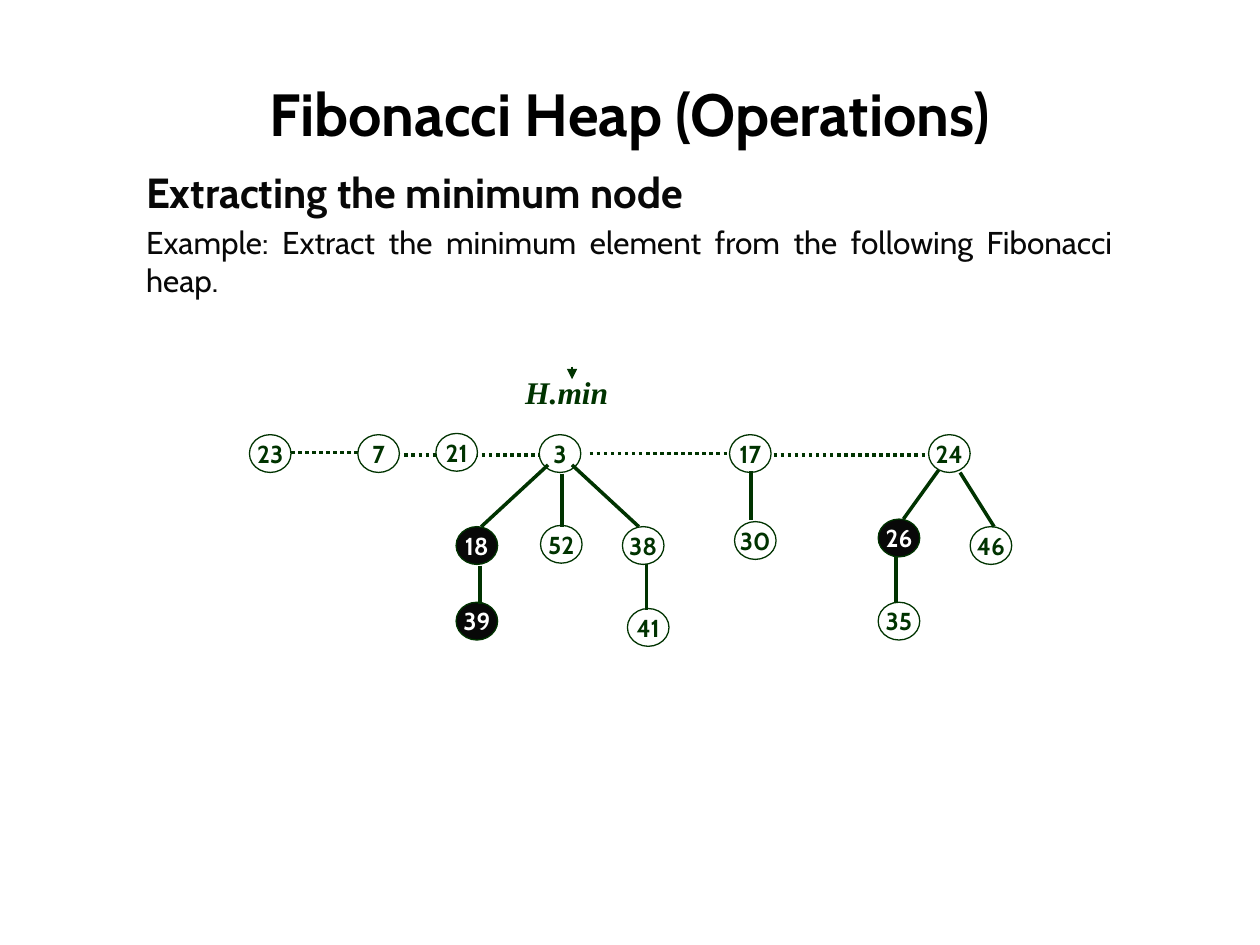
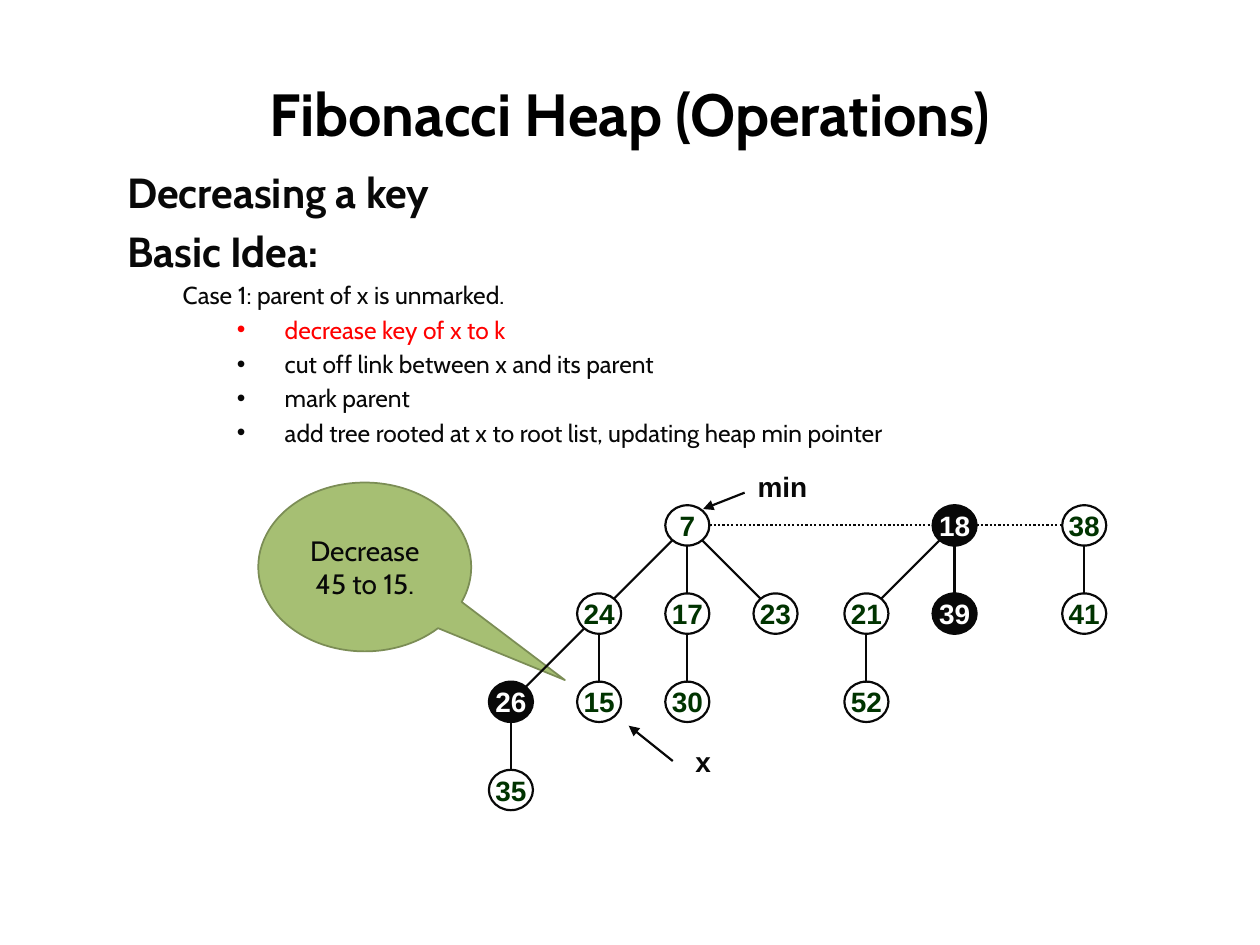
import math

import pptx
import pptx.dml.color
import pptx.enum.dml
import pptx.enum.shapes
import pptx.enum.text
import pptx.oxml
import pptx.oxml.ns
import pptx.util

SHAPE = pptx.enum.shapes.MSO_SHAPE
ALIGN = pptx.enum.text.PP_ALIGN
ANCHOR = pptx.enum.text.MSO_ANCHOR

COLORS = {
    "title": "000000",
    "ink": "080808",
    "green": "003300",
    "paper": "FFFFFF",
    "highlight": "FF0000",
    "callout": "A6BF73",
    "callout_edge": "7B8D55",
}

# The slide is a grid of 100 columns and 75 rows
SLIDE_WIDTH = pptx.util.Inches(10)
SLIDE_HEIGHT = pptx.util.Inches(7.5)
COLUMN = SLIDE_WIDTH / 100
ROW = SLIDE_HEIGHT / 75

HEADING = "Fibonacci Heap (Operations)"
BODY_FONT = "Cabin"

# Heap before extraction: key -> centre (column, row)
EXTRACT_KEYS = {
    "23": (21.45, 36), "7": (30.05, 36), "21": (36.25, 35.9),
    "3": (44.45, 36), "17": (59.55, 36), "24": (75.35, 36),
    "18": (37.85, 43.3), "52": (44.55, 43.2), "38": (51.05, 43.3),
    "30": (59.95, 42.9), "26": (71.35, 42.7), "46": (78.65, 43.3),
    "39": (37.85, 49.3), "41": (51.45, 49.8), "35": (71.35, 49.3),
}
EXTRACT_MARKED = {"18", "39", "26"}
EXTRACT_NODE = (3.3, 3)
EXTRACT_ROOT_LINKS = [
    ((23.1, 35.9), (28.4, 35.9)), ((32.1, 36.1), (42.8, 36.1)),
    ((46.8, 36), (57.9, 36)), ((61.4, 36.1), (73.7, 36.1)),
]
EXTRACT_CHILD_LINKS = [
    ((43.5, 36.9), (38.2, 41.8)), ((44.6, 37.6), (44.6, 41.8)),
    ((45.4, 36.9), (50.7, 41.8)), ((38.1, 44.9), (38.1, 47.9)),
    ((51.3, 44.8), (51.3, 48.4)), ((59.6, 37.4), (59.6, 41.3)),
    ((74.5, 37.3), (71.7, 41.2)), ((76.2, 37.5), (78.9, 41.8)),
    ((71.1, 44.2), (71.1, 47.8)),
]

# Heap after the decrease: key -> (place across, depth in tree)
DECREASE_KEYS = {
    "7": (2, 0), "18": (5.03, 0), "38": (6.5, 0),
    "24": (1, 1), "17": (2, 1), "23": (3, 1),
    "21": (4.03, 1), "39": (5.03, 1), "41": (6.5, 1),
    "26": (0, 2), "15": (1, 2), "30": (2, 2), "52": (4.03, 2),
    "35": (0, 3),
}
DECREASE_MARKED = {"18", "39", "26"}
DECREASE_ROOT_LINKS = [("7", "18"), ("18", "38")]
DECREASE_CHILD_LINKS = [
    ("7", "24"), ("7", "17"), ("7", "23"), ("18", "21"), ("18", "39"),
    ("38", "41"), ("24", "26"), ("24", "15"), ("17", "30"),
    ("21", "52"), ("26", "35"),
]
TREE_STEP = 7
TREE_ORIGIN = (40.55, 41.7)
DECREASE_NODE = (3.5, 3.2)


def rgb(name):
    return pptx.dml.color.RGBColor.from_string(COLORS[name])


def on_grid(first_column, first_row, second_column, second_row):
    return (round(first_column * COLUMN), round(first_row * ROW),
            round(second_column * COLUMN), round(second_row * ROW))


def move(placeholder, *place):
    (placeholder.left, placeholder.top,
     placeholder.width, placeholder.height) = on_grid(*place)


def style(paragraph, size, color, font=BODY_FONT, bold=False, italic=False):
    paragraph.font.size = pptx.util.Pt(size)
    paragraph.font.name = font
    paragraph.font.bold = bold
    paragraph.font.italic = italic
    paragraph.font.color.rgb = rgb(color)


def set_bullet(paragraph, indent, hanging, bullet):
    properties = paragraph._p.get_or_add_pPr()
    properties.set("marL", str(pptx.util.Inches(indent)))
    properties.set("indent", str(pptx.util.Inches(hanging)))
    if bullet:
        font = pptx.oxml.ns.qn("a:buFont")
        properties.append(properties.makeelement(font, {"typeface": "Arial"}))
        mark = properties.makeelement(pptx.oxml.ns.qn("a:buChar"), {"char": "•"})
    else:
        mark = properties.makeelement(pptx.oxml.ns.qn("a:buNone"), {})
    properties.append(mark)


def add_heap_slide(deck, body_place, lines):
    """Add a titled slide; each line is (text, size, options)."""
    slide = deck.slides.add_slide(deck.slide_layouts[1])

    # Title
    title = slide.shapes.title
    move(title, 5, 5, 90, 7.9)
    title.text_frame.text = HEADING
    title.text_frame.vertical_anchor = ANCHOR.MIDDLE
    title.text_frame.paragraphs[0].alignment = ALIGN.CENTER
    style(title.text_frame.paragraphs[0], 34, "title", bold=True)

    # Explanation
    body = slide.placeholders[1]
    move(body, *body_place)
    frame = body.text_frame
    frame.auto_size = pptx.enum.text.MSO_AUTO_SIZE.NONE
    frame.text = "\n".join(text for text, _, _ in lines)
    for position, (paragraph, (_, size, options)) in enumerate(
            zip(frame.paragraphs, lines)):
        bullet = options.get("bullet", False)
        paragraph.level = options.get("level", 0)
        set_bullet(paragraph, options.get("indent", 0),
                   -0.38 if bullet else 0, bullet)
        paragraph.alignment = ALIGN.LEFT if bullet else ALIGN.JUSTIFY
        paragraph.line_spacing = 1 if position else 1.5
        paragraph.space_before = pptx.util.Pt(0.2 * size if position else 0)
        style(paragraph, size, options.get("color", "ink"), bold=size == 24)
    return slide


def add_node(slide, key, center, size, marked, edge, edge_width, font, font_size):
    (x, y), (width, height) = center, size
    node = slide.shapes.add_shape(
        SHAPE.OVAL, *on_grid(x - width / 2, y - height / 2, width, height))
    node.shadow.inherit = False
    node.fill.solid()
    node.fill.fore_color.rgb = rgb("ink" if marked else "paper")
    node.line.color.rgb = rgb(edge)
    node.line.width = pptx.util.Pt(edge_width)
    frame = node.text_frame
    frame.margin_left = frame.margin_right = 0
    frame.margin_top = frame.margin_bottom = 0
    frame.word_wrap = False
    frame.vertical_anchor = ANCHOR.MIDDLE
    frame.text = key
    frame.paragraphs[0].alignment = ALIGN.CENTER
    style(frame.paragraphs[0], font_size, "paper" if marked else "green",
          font, bold=True)


def add_link(slide, start, end, color, width, dotted=False, arrow=False):
    link = slide.shapes.add_connector(
        pptx.enum.shapes.MSO_CONNECTOR.STRAIGHT, *on_grid(*start, *end))
    link.line.color.rgb = rgb(color)
    link.line.width = pptx.util.Pt(width)
    if dotted:
        link.line.dash_style = pptx.enum.dml.MSO_LINE.ROUND_DOT
    if arrow:
        outline = link.line._ln
        outline.append(outline.makeelement(
            pptx.oxml.ns.qn("a:tailEnd"), {"type": "triangle"}))
    properties = link._element.spPr
    properties.append(properties.makeelement(
        pptx.oxml.ns.qn("a:effectLst"), {}))


def add_label(slide, text, place, size, color, font, align, italic=False):
    label = slide.shapes.add_textbox(*on_grid(*place))
    frame = label.text_frame
    frame.word_wrap = False
    frame.vertical_anchor = ANCHOR.MIDDLE
    frame.text = text
    frame.paragraphs[0].alignment = align
    style(frame.paragraphs[0], size, color, font, bold=True, italic=italic)


def add_callout(slide, text, place, tip):
    callout = slide.shapes.add_shape(SHAPE.OVAL_CALLOUT, *on_grid(*place))
    callout.adjustments[0], callout.adjustments[1] = tip
    callout.shadow.inherit = False
    callout.fill.solid()
    callout.fill.fore_color.rgb = rgb("callout")
    callout.line.color.rgb = rgb("callout_edge")
    callout.line.width = pptx.util.Pt(1)
    frame = callout.text_frame
    frame.word_wrap = True
    frame.vertical_anchor = ANCHOR.MIDDLE
    frame.text = text
    frame.paragraphs[0].alignment = ALIGN.CENTER
    style(frame.paragraphs[0], 16, "ink")


def tree_point(across, depth):
    return (TREE_ORIGIN[0] + across * TREE_STEP,
            TREE_ORIGIN[1] + depth * TREE_STEP)


def rim_point(center, target, size):
    """Return where the line from center to target leaves the node."""
    dx, dy = target[0] - center[0], target[1] - center[1]
    share = 1 / math.hypot(dx / (size[0] / 2), dy / (size[1] / 2))
    return center[0] + dx * share, center[1] + dy * share


def build_extract_slide(deck):
    slide = add_heap_slide(deck, (10.6, 10.7, 78.7, 45), [
        ("Extracting the minimum node", 24, {}),
        ("Example: Extract the minimum element from the following "
         "Fibonacci heap.", 18, {}),
    ])
    # Root links lie below the nodes: the one from 7 to 3 runs behind 21
    for start, end in EXTRACT_ROOT_LINKS:
        add_link(slide, start, end, "green", 2, dotted=True)
    for key, center in EXTRACT_KEYS.items():
        add_node(slide, key, center, EXTRACT_NODE, key in EXTRACT_MARKED,
                 "green", 0.75, BODY_FONT, 14)
    for start, end in EXTRACT_CHILD_LINKS:
        add_link(slide, start, end, "green", 2)

    # Pointer
    add_label(slide, "H.min", (40.7, 29.1, 8.7, 4), 18, "green",
              "Times New Roman", ALIGN.LEFT, italic=True)
    add_link(slide, (45.4, 29.1), (45.4, 30.1), "green", 0.75, arrow=True)


def build_decrease_slide(deck):
    step = {"level": 2, "indent": 1.25, "bullet": True}
    slide = add_heap_slide(deck, (9.1, 10.7, 83.9, 55.9), [
        ("Decreasing a key", 24, {}),
        ("Basic Idea:", 24, {}),
        ("Case 1: parent of x is unmarked.", 14, {"level": 1, "indent": 0.44}),
        ("decrease key of x to k", 14, {**step, "color": "highlight"}),
        ("cut off link between x and its parent", 14, step),
        ("mark parent", 14, step),
        ("add tree rooted at x to root list, updating heap min pointer", 14, step),
    ])
    add_callout(slide, "Decrease 45 to 15.", (20.5, 38.3, 16.9, 13.4),
                (0.94, 0.67))

    # Heap
    centers = {key: tree_point(*spot) for key, spot in DECREASE_KEYS.items()}
    for key, center in centers.items():
        add_node(slide, key, center, DECREASE_NODE, key in DECREASE_MARKED,
                 "ink", 1.25, "Arial", 16)
    for links, dotted in ((DECREASE_ROOT_LINKS, True),
                          (DECREASE_CHILD_LINKS, False)):
        for first, second in links:
            start, end = centers[first], centers[second]
            add_link(slide, rim_point(start, end, DECREASE_NODE),
                     rim_point(end, start, DECREASE_NODE),
                     "ink", 1.25, dotted)

    # Pointers
    add_link(slide, (59.1, 39.1), (55.8, 40.4), "ink", 1.25, arrow=True)
    add_link(slide, (53.4, 60.4), (49.9, 57.6), "ink", 1.25, arrow=True)
    for name, left, top in (("min", 58.1, 37), ("x", 51.8, 58.8)):
        add_label(slide, name, (left, top, 8, 3.2), 16, "ink", "Arial",
                  ALIGN.CENTER)


def main():
    deck = pptx.Presentation()
    deck.slide_width, deck.slide_height = SLIDE_WIDTH, SLIDE_HEIGHT
    build_extract_slide(deck)
    build_decrease_slide(deck)
    deck.save("out.pptx")


if __name__ == "__main__":
    main()
